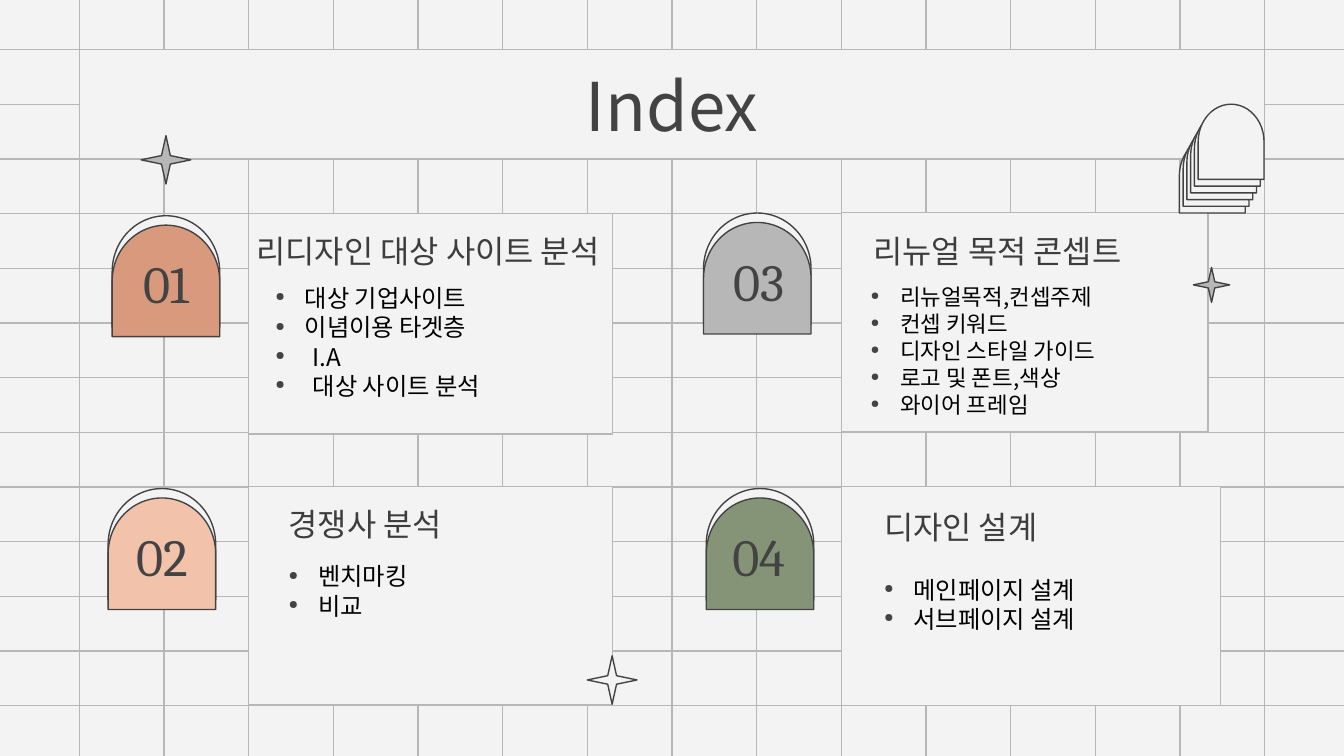
import pptx
import pptx.util
import pptx.dml.color
import pptx.enum.shapes
import pptx.enum.text
import pptx.oxml.ns
from lxml import etree

Inches = pptx.util.Inches
Pt = pptx.util.Pt
SHAPE = pptx.enum.shapes.MSO_SHAPE
ALIGN = pptx.enum.text.PP_ALIGN
ANCHOR = pptx.enum.text.MSO_ANCHOR
qn = pptx.oxml.ns.qn

SANS, SERIF = "Noto Sans CJK KR", "Cambria"
PAPER, GRID, INK = "F3F3F3", "B7B7B7", "434343"
HEADING, BLACK = "3D3D3D", "000000"


def color(hex_value):
    return pptx.dml.color.RGBColor.from_string(hex_value)


def add_grid_line(slide, x1, y1, x2, y2):
    s = slide.shapes.add_connector(
        pptx.enum.shapes.MSO_CONNECTOR.STRAIGHT,
        Inches(x1), Inches(y1), Inches(x2), Inches(y2))
    s.line.color.rgb = color(GRID)
    s.line.width = Pt(0.75)
    etree.SubElement(s._element.spPr, qn("a:effectLst"))


def add_grid(slide):
    columns = [0.59 + 0.63 * i for i in range(15)]
    rows = [0.37 + (5.25 - 0.37) / 12 * i for i in range(13)]
    # Each line is made of two halves that meet at the slide centre
    for top, bottom in ((-0.03, 2.81), (2.81, 5.66)):
        for x in columns:
            add_grid_line(slide, x, top, x, bottom)
    for left, right in ((-0.04, 5), (5, 10.04)):
        for y in rows:
            add_grid_line(slide, left, y, right, y)


def add_shape(slide, kind, x, y, w, h, fill, line=INK):
    s = slide.shapes.add_shape(kind, Inches(x), Inches(y), Inches(w), Inches(h))
    s.shadow.inherit = False
    s.fill.solid()
    s.fill.fore_color.rgb = color(fill)
    s.line.color.rgb = color(line)
    s.line.width = Pt(0.75)
    return s


def add_star(slide, x, y, w, h, fill):
    s = add_shape(slide, SHAPE.STAR_4_POINT, x, y, w, h, fill)
    s.adjustments[0] = 0.125


def add_arch(slide, x, y, w, h, fill):
    s = add_shape(slide, SHAPE.FLOWCHART_DELAY, x, y, w, h, fill)
    s.rotation = 270


def prepare_frame(s, anchor):
    tf = s.text_frame
    tf.word_wrap = True
    tf.vertical_anchor = anchor
    tf.margin_left = tf.margin_right = Inches(0.1)
    tf.margin_top = tf.margin_bottom = Inches(0.1)
    return tf


def format_paragraph(p, size, hex_value, font=SANS, align=ALIGN.LEFT):
    p.alignment = align
    for r in p.runs:
        r.font.size = Pt(size)
        r.font.name = font
        r.font.color.rgb = color(hex_value)
        etree.SubElement(r._r.get_or_add_rPr(), qn("a:ea"), typeface=font)


def add_text(slide, text, x, y, w, h, *style):
    s = slide.shapes.add_textbox(Inches(x), Inches(y), Inches(w), Inches(h))
    tf = prepare_frame(s, ANCHOR.MIDDLE)
    tf.text = text
    format_paragraph(tf.paragraphs[0], *style)


def add_bullet(p, indent):
    pPr = p._p.get_or_add_pPr()
    pPr.set("marL", str(Inches(indent)))
    pPr.set("indent", str(-Inches(indent)))
    bullet_color = etree.SubElement(pPr, qn("a:buClr"))
    etree.SubElement(bullet_color, qn("a:srgbClr"), val=INK)
    etree.SubElement(pPr, qn("a:buSzPct"), val="50000")
    etree.SubElement(pPr, qn("a:buChar"), char="●")


def add_list(slide, items, x, y, w, h, size):
    s = slide.shapes.add_textbox(Inches(x), Inches(y), Inches(w), Inches(h))
    tf = prepare_frame(s, ANCHOR.TOP)
    tf.text = "\n".join(text for text, _, _ in items)
    for p, (_, align, indent) in zip(tf.paragraphs, items):
        add_bullet(p, indent)
        format_paragraph(p, size, BLACK, SANS, align)


def entries(texts, align=ALIGN.LEFT, indent=0.22):
    return [(text, align, indent) for text in texts]


def add_number(slide, number, arch, label, fill):
    x, y = arch
    add_arch(slide, x, y, 0.83, 0.8, PAPER)
    add_arch(slide, x, y + 0.07, 0.83, 0.8, fill)
    add_text(slide, number, *label, 28, INK, SERIF, ALIGN.CENTER)


# number, arch colour, arch place, number box, card, heading box,
# heading, list box, list size, list entries
SECTIONS = [
    ("01", "D9997D", (0.82, 1.62), (0.77, 1.83, 0.93, 0.54),
     (1.85, 1.59, 2.71, 1.64),
     (1.81, 1.67, 2.82, 0.4), "리디자인 대상 사이트 분석",
     (1.95, 2.01, 2.3, 1.08), 13,
     entries(["대상 기업사이트", "이념이용 타겟층"])
     + entries(["I.A", "대상 사이트 분석"], ALIGN.JUSTIFY, 0.28)),
    ("02", "F2C2AB", (0.79, 3.65), (0.74, 3.87, 0.93, 0.53),
     (1.85, 3.62, 2.71, 1.62),
     (2.05, 3.7, 2.3, 0.4), "경쟁사 분석",
     (2.05, 4.08, 2.3, 0.7), 13,
     entries(["벤치마킹", "비교"], ALIGN.JUSTIFY)),
    ("03", GRID, (5.22, 1.6), (5.18, 1.82, 0.93, 0.54),
     (6.26, 1.58, 2.73, 1.63),
     (6.4, 1.67, 2.3, 0.4), "리뉴얼 목적 콘셉트",
     (6.38, 2.01, 2.56, 1.16), 12,
     entries(["리뉴얼목적,컨셉주제", "컨셉 키워드", "디자인 스타일 가이드",
              "로고 및 폰트,색상", "와이어 프레임"])),
    ("04", "859477", (5.24, 3.65), (5.18, 3.87, 0.93, 0.53),
     (6.26, 3.62, 2.82, 1.63),
     (6.48, 3.72, 2.3, 0.4), "디자인 설계",
     (6.48, 4.18, 2.58, 0.99), 13,
     entries(["메인페이지 설계", "서브페이지 설계"], ALIGN.JUSTIFY)),
]


def add_section(slide, number, fill, arch, label, card,
                heading_box, heading, list_box, size, items):
    add_shape(slide, SHAPE.RECTANGLE, *card, PAPER, GRID)
    add_text(slide, heading, *heading_box, 17, HEADING)
    add_list(slide, items, *list_box, size)
    add_number(slide, number, arch, label, fill)


def main():
    prs = pptx.Presentation()
    # Widescreen, 16 to 9
    prs.slide_width, prs.slide_height = Inches(10), Inches(10 * 9 / 16)
    slide = prs.slides.add_slide(prs.slide_layouts[6])

    # Background
    slide.background.fill.solid()
    slide.background.fill.fore_color.rgb = color(PAPER)
    add_grid(slide)

    # Title band
    band = add_shape(slide, SHAPE.RECTANGLE, 0.59, 0.37, 8.82, 0.81, PAPER, GRID)
    tf = prepare_frame(band, ANCHOR.MIDDLE)
    tf.text = "Index"
    format_paragraph(tf.paragraphs[0], 36, INK, SANS, ALIGN.CENTER)

    # Numbered sections
    for section in SECTIONS:
        add_section(slide, *section)

    # Fan of arches
    for i in range(6):
        add_arch(slide, 8.74 + 0.14 / 5 * i, 1.06 - 0.05 * i, 0.56, 0.49, PAPER)

    # Stars
    add_star(slide, 1.05, 1.01, 0.37, 0.36, GRID)
    add_star(slide, 8.88, 1.99, 0.27, 0.26, GRID)
    add_star(slide, 4.37, 4.88, 0.37, 0.36, PAPER)

    prs.save("out.pptx")


if __name__ == "__main__":
    main()
